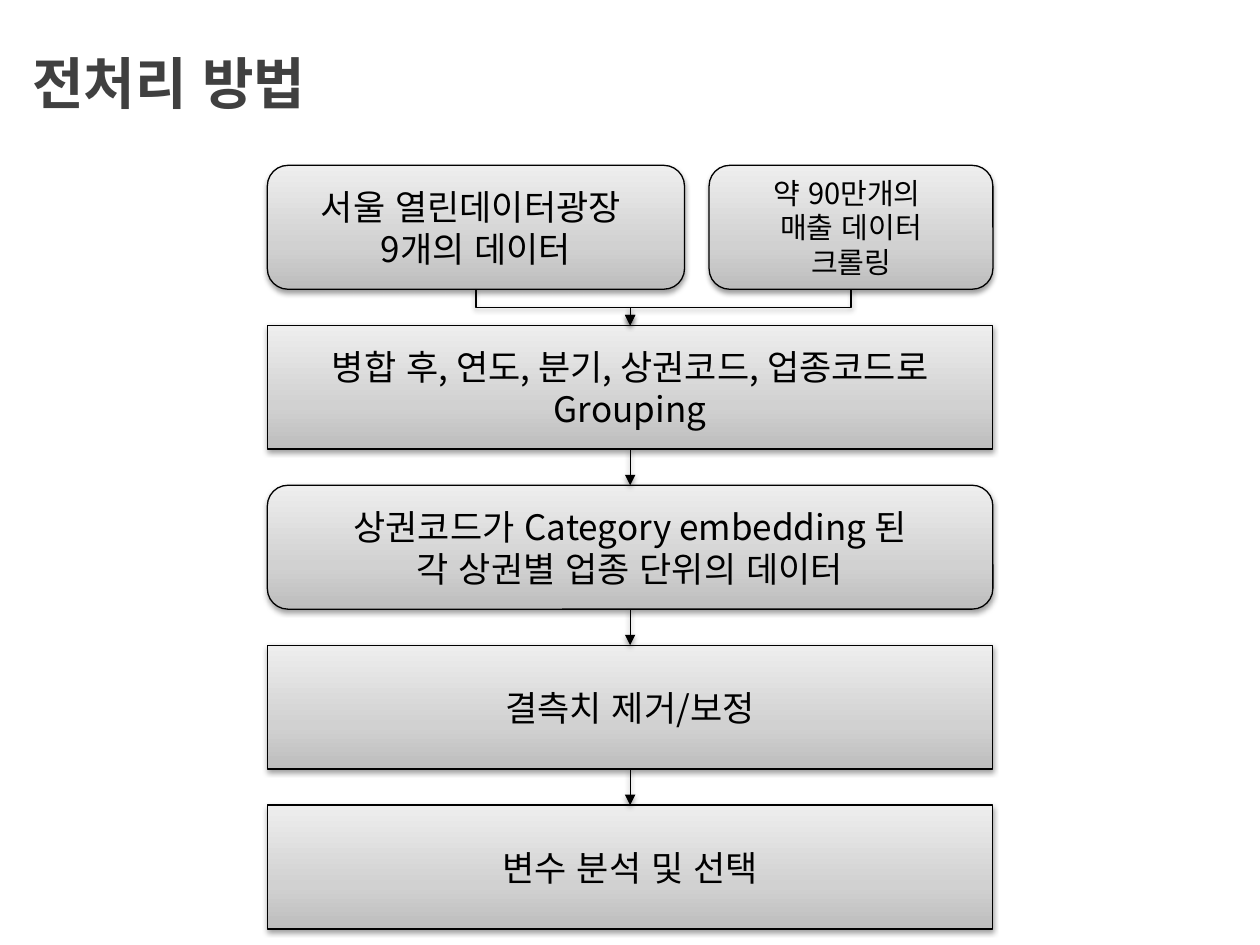
from copy import deepcopy

from lxml import etree
from pptx import Presentation
from pptx.dml.color import RGBColor
from pptx.enum.lang import MSO_LANGUAGE_ID
from pptx.enum.shapes import MSO_CONNECTOR, MSO_SHAPE
from pptx.enum.text import MSO_ANCHOR, PP_ALIGN
from pptx.oxml import parse_xml
from pptx.oxml.ns import nsdecls, qn
from pptx.util import Pt

RECTANGLE, ROUNDED = MSO_SHAPE.RECTANGLE, MSO_SHAPE.ROUNDED_RECTANGLE
STRAIGHT, ELBOW = MSO_CONNECTOR.STRAIGHT, MSO_CONNECTOR.ELBOW
CENTER, LEFT_ALIGNED = PP_ALIGN.CENTER, PP_ALIGN.LEFT
MIDDLE = MSO_ANCHOR.MIDDLE
KOREAN = MSO_LANGUAGE_ID.KOREAN

BLACK = RGBColor(0x00, 0x00, 0x00)
TITLE_GRAY = RGBColor(0x40, 0x40, 0x40)
GRADIENT = (
    (0, RGBColor(0xBD, 0xBD, 0xBD)),
    (0.35, RGBColor(0xD1, 0xD1, 0xD1)),
    (1, RGBColor(0xEE, 0xEE, 0xEE)),
)
TITLE_FONT, BODY_FONT = "Arial", "Noto Sans CJK KR"

FLOW_LEFT, FLOW_TOP, FLOW_WIDTH = 152.8, 94.5, 414.6
BOX_HEIGHT, ROW_PITCH = 70.8, 91.4
SEOUL_WIDTH, SALES_WIDTH = 238.4, 162.2
LINE_WIDTH = 0.75

STEPS = (
    (RECTANGLE, [["병합 후, 연도, 분기, 상권코드, 업종코드로 Grouping"]]),
    (ROUNDED, [["상권코드가 Category embedding 된"], ["각 상권별 업종 단위의 데이터"]]),
    (RECTANGLE, [["결측치 제거/보정"]]),
    (RECTANGLE, [["변수 분석 및 선택"]]),
)


def row_top(row):
    """Return the top of a row of the flow."""
    return FLOW_TOP + row * ROW_PITCH


def add_span(para, text, size, color, font=BODY_FONT, bold=False):
    """Add one formatted run to a paragraph."""
    span = para.add_run()
    span.text = text
    span.font.name = font
    span.font.size = Pt(size)
    span.font.bold = bold
    span.font.color.rgb = color
    span.font.language_id = KOREAN
    east_asian = etree.Element(qn("a:ea"), typeface=BODY_FONT)
    span.font._element.find(qn("a:latin")).addnext(east_asian)


def add_shadow(item):
    """Give a shape or connector the soft shadow below it."""
    item._element.spPr.append(parse_xml(
        f'<a:effectLst {nsdecls("a")}>'
        f'<a:outerShdw blurRad="{Pt(3.1)}" dist="{Pt(1.6)}" dir="5400000" rotWithShape="0">'
        '<a:srgbClr val="000000"><a:alpha val="38000"/></a:srgbClr>'
        '</a:outerShdw></a:effectLst>'
    ))


def style_line(line):
    """Draw a line thin and black."""
    line.color.rgb = BLACK
    line.width = Pt(LINE_WIDTH)


def fill_gradient(box):
    """Fill a box with gray that darkens downwards."""
    box.fill.gradient()
    box.fill.gradient_angle = 90
    stop_list = box._element.spPr.find(f".//{qn('a:gsLst')}")
    stop_list.append(deepcopy(stop_list[-1]))
    for stop, (position, color) in zip(box.fill.gradient_stops, GRADIENT):
        stop.position = position
        stop.color.rgb = color


def add_title(page):
    """Place the page title."""
    box = page.shapes.title
    box.left, box.top, box.width, box.height = Pt(0), Pt(1.5), Pt(720), Pt(84)
    box.text_frame.vertical_anchor = MIDDLE
    para = box.text_frame.paragraphs[0]
    para.alignment = LEFT_ALIGNED
    for text, size in ((" ", 40), ("전처리 방법", 32)):
        add_span(para, text, size, TITLE_GRAY, TITLE_FONT, bold=True)


def add_box(page, kind, left, row, width, paragraphs, size=20):
    """Add a flow box whose paragraphs are lists of lines."""
    box = page.shapes.add_shape(kind, Pt(left), Pt(row_top(row)), Pt(width), Pt(BOX_HEIGHT))
    fill_gradient(box)
    style_line(box.line)
    add_shadow(box)
    frame = box.text_frame
    frame.word_wrap = True
    frame.vertical_anchor = MIDDLE
    for index, lines in enumerate(paragraphs):
        para = frame.add_paragraph() if index else frame.paragraphs[0]
        para.alignment = CENTER
        for number, text in enumerate(lines):
            if number:
                para.add_line_break()
            add_span(para, text, size, BLACK)


def add_arrow(page, start_x, end_x, row):
    """Add an arrow from a row to the next, bent if it moves sideways."""
    start_y, end_y = row_top(row) + BOX_HEIGHT, row_top(row + 1)
    if start_x == end_x:
        arrow = page.shapes.add_connector(
            STRAIGHT, Pt(start_x), Pt(start_y), Pt(end_x), Pt(end_y))
    else:
        middle_x, middle_y = (start_x + end_x) / 2, (start_y + end_y) / 2
        half_width, half_height = (end_y - start_y) / 2, abs(end_x - start_x) / 2
        arrow = page.shapes.add_connector(
            ELBOW, Pt(middle_x - half_width), Pt(middle_y - half_height),
            Pt(middle_x + half_width), Pt(middle_y + half_height))
        frame = arrow._element.spPr.find(qn("a:xfrm"))
        frame.set("rot", "16200000" if end_x > start_x else "5400000")
        if end_x > start_x:
            frame.set("flipH", "1")
    style_line(arrow.line)
    etree.SubElement(arrow._element.spPr.find(qn("a:ln")), qn("a:tailEnd"), type="triangle")
    add_shadow(arrow)


def main():
    """Build the deck with the preprocessing flow."""
    deck = Presentation()
    deck.slide_width, deck.slide_height = Pt(720), Pt(540)
    page = deck.slides.add_slide(deck.slide_layouts[5])
    add_title(page)

    sales_left = FLOW_LEFT + FLOW_WIDTH - SALES_WIDTH
    add_box(page, ROUNDED, sales_left, 0, SALES_WIDTH,
            [["약 90만개의 ", "매출 데이터"], ["크롤링"]], 16.6)
    add_box(page, ROUNDED, FLOW_LEFT, 0, SEOUL_WIDTH,
            [["서울 열린데이터광장 ", "9개의 데이터"]])
    for row, (kind, paragraphs) in enumerate(STEPS, 1):
        add_box(page, kind, FLOW_LEFT, row, FLOW_WIDTH, paragraphs)

    center = FLOW_LEFT + FLOW_WIDTH / 2
    for start_x in (FLOW_LEFT + SEOUL_WIDTH / 2, sales_left + SALES_WIDTH / 2):
        add_arrow(page, start_x, center, 0)
    for row in range(1, len(STEPS)):
        add_arrow(page, center, center, row)
    deck.save("out.pptx")


if __name__ == "__main__":
    main()
